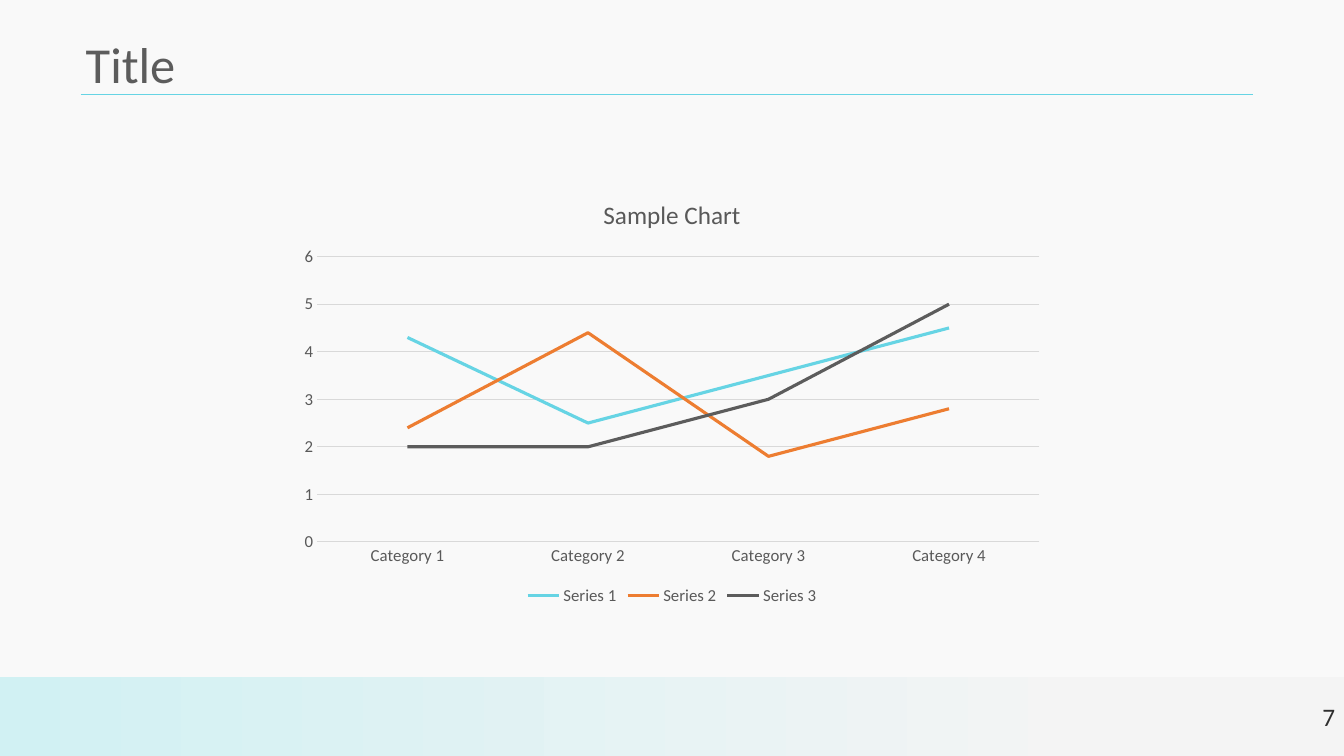
"""Build the sample line chart slide."""
from pptx import Presentation, util as u
from pptx.chart.data import CategoryChartData
from pptx.dml.color import RGBColor
from pptx.enum import chart as ch, shapes, text
from pptx.oxml.ns import qn
from lxml import etree

AQUA = RGBColor(0x66, 0xD4, 0xE4)
ORANGE = RGBColor(0xED, 0x7D, 0x31)
GRAY = RGBColor(0x5C, 0x5C, 0x5C)
DARK = RGBColor(0x2F, 0x2F, 0x2F)
LABEL = RGBColor(0x59, 0x59, 0x59)
GRID = RGBColor(0xD9, 0xD9, 0xD9)
PAPER = RGBColor(0xF9, 0xF9, 0xF9)
PALE_AQUA = RGBColor(0xD1, 0xF1, 0xF3)
PALE_GRAY = RGBColor(0xF4, 0xF4, 0xF4)
FONT = "Calibri"
WIDTH, HEIGHT = 13.33, 7.5

HEADING = "Title"
PAGE_NUMBER = "7"
CHART_TITLE = "Sample Chart"
CATEGORIES = [f"Category {n}" for n in range(1, 5)]
SERIES = [
    ("Series 1", (4.3, 2.5, 3.5, 4.5), AQUA),
    ("Series 2", (2.4, 4.4, 1.8, 2.8), ORANGE),
    ("Series 3", (2, 2, 3, 5), GRAY),
]
BAND_STOPS = [(0, PALE_AQUA), (0.81, PALE_GRAY)]
BAND_HEIGHT = 0.78
RULE_LEFT, RULE_RIGHT, RULE_Y = 0.8, 12.43, 0.94
HEADING_BOX = (0.75, 0.28, 5.86, 0.71)
NUMBER_BOX = (13, 6.91, 0.34, 0.4)
CHART_BOX = (2.87, 1.77, 7.59, 4.28)


def inches(*lengths):
    return [u.Inches(length) for length in lengths]


def assign(target, **values):
    for key, value in values.items():
        setattr(target, key, value)


def style_font(font, size, color):
    assign(font, name=FONT, size=u.Pt(size), bold=False)
    font.color.rgb = color


def style_line(line, color, width):
    line.color.rgb = color
    line.width = u.Pt(width)


def write(box, words, size, color, anchor, align):
    frame = box.text_frame
    frame.text = words
    assign(frame, word_wrap=True, auto_size=text.MSO_AUTO_SIZE.NONE,
           vertical_anchor=anchor)
    paragraph = frame.paragraphs[0]
    paragraph.alignment = align
    style_font(paragraph.runs[0].font, size, color)


deck = Presentation()
assign(deck, slide_width=u.Inches(WIDTH), slide_height=u.Inches(HEIGHT))
slide = deck.slides.add_slide(deck.slide_layouts[5])
slide.background.fill.solid()
slide.background.fill.fore_color.rgb = PAPER

band = slide.shapes.add_shape(
    shapes.MSO_SHAPE.RECTANGLE,
    *inches(0, HEIGHT - BAND_HEIGHT, WIDTH, BAND_HEIGHT))
band.shadow.inherit = False
band.line.fill.background()
band.fill.gradient()
band.fill.gradient_angle = 0
for stop, (position, color) in zip(band.fill.gradient_stops, BAND_STOPS):
    stop.position = position
    stop.color.rgb = color

rule = slide.shapes.add_connector(
    shapes.MSO_CONNECTOR.STRAIGHT,
    *inches(RULE_LEFT, RULE_Y, RULE_RIGHT, RULE_Y))
style_line(rule.line, AQUA, 0.5)
etree.SubElement(rule._element.spPr, qn("a:effectLst"))

heading = slide.shapes.title
left, top, width, height = inches(*HEADING_BOX)
assign(heading, left=left, top=top, width=width, height=height)
write(heading, HEADING, 36, GRAY, text.MSO_ANCHOR.TOP, text.PP_ALIGN.LEFT)
number = slide.shapes.add_textbox(*inches(*NUMBER_BOX))
write(number, PAGE_NUMBER, 18, DARK, text.MSO_ANCHOR.MIDDLE, text.PP_ALIGN.RIGHT)

data = CategoryChartData()
data.categories = CATEGORIES
for name, values, _ in SERIES:
    data.add_series(name, values)
chart = slide.shapes.add_chart(
    ch.XL_CHART_TYPE.LINE, *inches(*CHART_BOX), data).chart
style_font(chart.font, 12, LABEL)
assign(chart, has_title=True, has_legend=True)
chart.chart_title.text_frame.text = CHART_TITLE
chart.chart_title.include_in_layout = False
style_font(chart.chart_title.text_frame.paragraphs[0].runs[0].font, 18, LABEL)
assign(chart.legend, position=ch.XL_LEGEND_POSITION.BOTTOM,
       include_in_layout=False)
style_font(chart.legend.font, 12, LABEL)

for axis in (chart.category_axis, chart.value_axis):
    assign(axis, major_tick_mark=ch.XL_TICK_MARK.NONE,
           minor_tick_mark=ch.XL_TICK_MARK.NONE)
    style_font(axis.tick_labels.font, 12, LABEL)
style_line(chart.category_axis.format.line, GRID, 0.75)
assign(chart.value_axis, minimum_scale=0, maximum_scale=6, major_unit=1,
       has_major_gridlines=True)
chart.value_axis.format.line.fill.background()
style_line(chart.value_axis.major_gridlines.format.line, GRID, 0.75)

chart.plots[0].vary_by_categories = False
for series, (_, _, color) in zip(chart.plots[0].series, SERIES):
    series.smooth = False
    series.marker.style = ch.XL_MARKER_STYLE.NONE
    style_line(series.format.line, color, 2.25)

deck.save("out.pptx")
